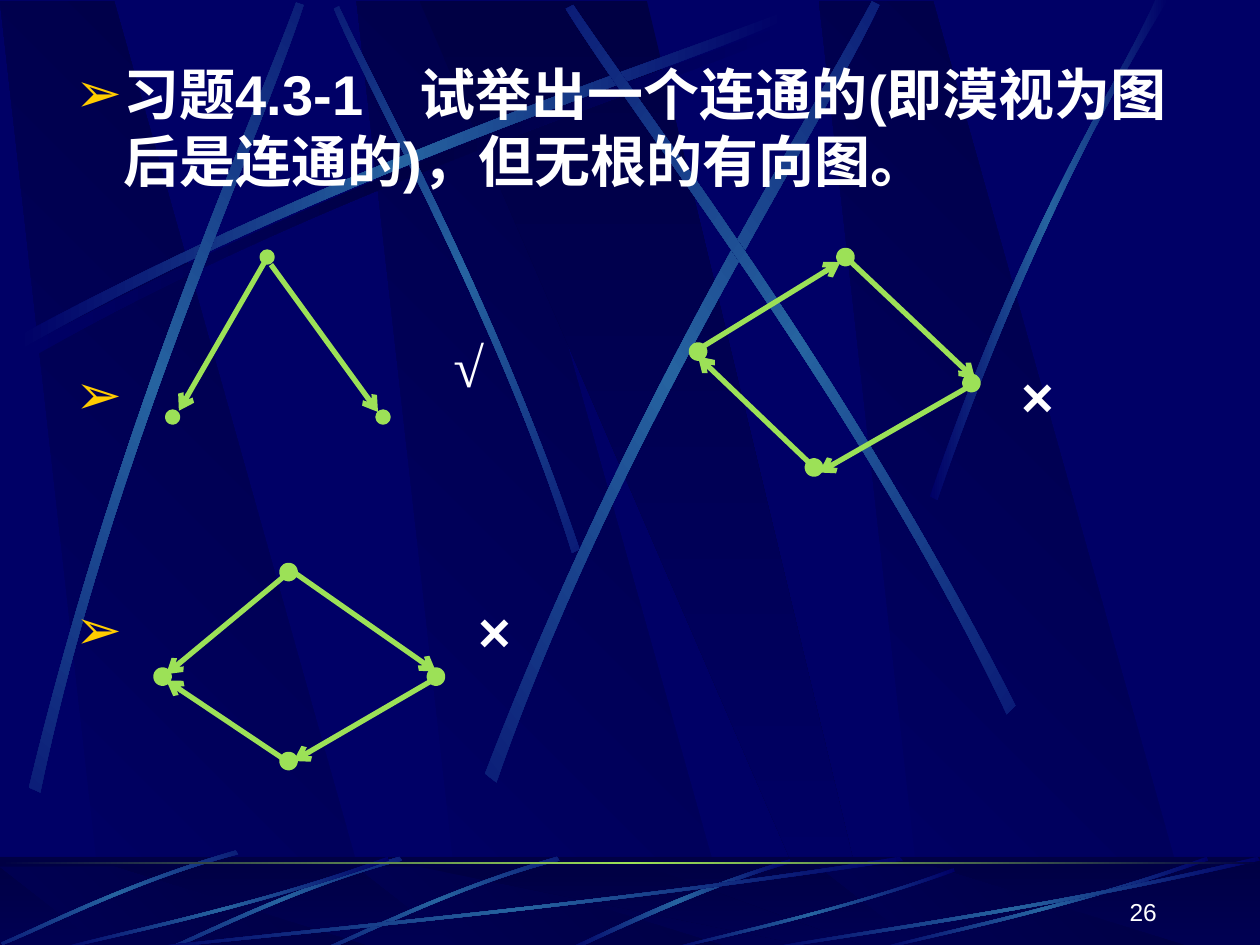
from math import cos, radians, sin

from lxml import etree
from pptx import Presentation
from pptx.dml.color import RGBColor
from pptx.enum.shapes import MSO_CONNECTOR, MSO_SHAPE
from pptx.enum.text import MSO_ANCHOR, MSO_AUTO_SIZE, PP_ALIGN
from pptx.oxml.ns import qn
from pptx.util import Inches, Pt

ELLIPSE, RECT = MSO_SHAPE.OVAL, MSO_SHAPE.RECTANGLE
STRAIGHT = MSO_CONNECTOR.STRAIGHT
NO_AUTOFIT = MSO_AUTO_SIZE.NONE
TOP, BOTTOM = MSO_ANCHOR.TOP, MSO_ANCHOR.BOTTOM
LEFT, RIGHT = PP_ALIGN.LEFT, PP_ALIGN.RIGHT

NAVY, DARK, STEEL = "000066", "000044", "2663A0"
GREEN, GOLD, WHITE = "9CE157", "FFCC00", "FFFFFF"
BEAM = (NAVY, STEEL, NAVY)
SHADE = (NAVY, DARK, NAVY)


def rgb(value):
    return RGBColor.from_string(value)


def child(parent, tag, **attributes):
    return etree.SubElement(parent, qn(tag), {k: str(v) for k, v in attributes.items()})


def place(points, left, top, width=1, height=1):
    """Scale and shift points."""
    return [(left + x * width, top + y * height) for x, y in points]


def turn(points, centre, degrees):
    c, s = cos(radians(degrees)), sin(radians(degrees))
    cx, cy = centre
    return [(cx + (x - cx) * c - (y - cy) * s, cy + (x - cx) * s + (y - cy) * c)
            for x, y in points]


class SlideBuilder:
    def __init__(self, slide):
        self.slide = slide
        self.shapes = slide.shapes

    def gradient(self, shape, colours, angle):
        properties = shape._element.spPr
        shape.fill.gradient()
        grad = properties.find(qn("a:gradFill"))
        for part in list(grad):
            grad.remove(part)
        stops = child(grad, "a:gsLst")
        for i, colour in enumerate(colours):
            stop = child(stops, "a:gs", pos=round(100000 * i / (len(colours) - 1)))
            child(stop, "a:srgbClr", val=colour)
        child(grad, "a:lin", ang=angle * 60000, scaled=0)
        shape.line.fill.background()
        shape.shadow.inherit = False

    def polygon(self, points, colours, angle=0):
        corners = [(Inches(x), Inches(y)) for x, y in points]
        builder = self.shapes.build_freeform(*corners[0])
        builder.add_line_segments(corners[1:], close=True)
        shape = builder.convert_to_shape()
        self.gradient(shape, colours, angle)
        return shape

    def beam(self, knots, colours=BEAM, centre=None, rotation=0):
        """A tapering band between two curves, its gradient turned with it."""
        if rotation:
            knots = turn(knots, centre, -rotation)
            xs, ys = zip(*knots)
            middle = ((min(xs) + max(xs)) / 2, (min(ys) + max(ys)) / 2)
            goal = turn([middle], centre, rotation)[0]
            knots = place(knots, goal[0] - middle[0], goal[1] - middle[1])
        shape = self.polygon(knots, colours)
        shape.rotation = rotation
        # Each long side becomes one cubic curve
        outline = next(shape._element.iter(qn("a:path")))
        sides = outline.findall(qn("a:lnTo"))
        for side in (sides[:3], sides[4:7]):
            curve = child(outline, "a:cubicBezTo")
            side[0].addprevious(curve)
            for segment in side:
                curve.append(segment[0])
                outline.remove(segment)

    def bar(self, top, height, colours, angle):
        shape = self.shapes.add_shape(RECT, 0, Inches(top), Inches(10), Inches(height))
        self.gradient(shape, colours, angle)
        return shape

    def veil(self, top, height, colour, alpha):
        shape = self.bar(top, height, (colour, colour), 0)
        shape.fill.solid()
        shape.fill.fore_color.rgb = rgb(colour)
        child(shape._element.spPr.find(qn("a:solidFill"))[0], "a:alpha", val=alpha * 1000)

    def node(self, left, top, outline):
        size = Inches(0.08)
        dot = self.shapes.add_shape(ELLIPSE, Inches(left), Inches(top), size, size)
        dot.fill.solid()
        dot.fill.fore_color.rgb = dot.line.color.rgb = rgb(GREEN)
        dot.line.width = Pt(outline)
        dot.shadow.inherit = False

    def edge(self, *ends):
        arrow = self.shapes.add_connector(STRAIGHT, *map(Inches, ends))
        arrow.line.color.rgb = rgb(GREEN)
        arrow.line.width = Pt(3)
        child(arrow.line._get_or_add_ln(), "a:tailEnd", type="arrow")
        child(arrow._element.spPr, "a:effectLst")

    def style(self, paragraph, size, font, bold):
        paragraph.font.size = Pt(size)
        paragraph.font.name = font
        paragraph.font.bold = bold
        paragraph.font.color.rgb = rgb(WHITE)

    def label(self, text, box, size, font, bold=False, align=LEFT, anchor=TOP):
        frame = self.shapes.add_textbox(*map(Inches, box)).text_frame
        frame.word_wrap = True
        frame.vertical_anchor = anchor
        paragraph = frame.paragraphs[0]
        paragraph.text = text
        paragraph.alignment = align
        self.style(paragraph, size, font, bold)

    def body(self, box, items):
        """Bulleted items given as (text, indent in inches, space before)."""
        holder = self.slide.placeholders[1]
        self.shapes._spTree.append(holder._element)
        holder.left, holder.top, holder.width, holder.height = map(Inches, box)
        frame = holder.text_frame
        frame.auto_size = NO_AUTOFIT
        frame.vertical_anchor = TOP
        for i, (text, indent, before) in enumerate(items):
            paragraph = frame.add_paragraph() if i else frame.paragraphs[0]
            paragraph.text = text
            properties = paragraph._p.get_or_add_pPr()
            properties.set("marL", str(Inches(indent)))
            properties.set("indent", str(-Inches(indent)))
            child(child(properties, "a:buClr"), "a:srgbClr", val=GOLD)
            child(properties, "a:buChar", char="➢")
            paragraph.space_before = Pt(before)
            self.style(paragraph, 32, "Arial", True)


# Background outlines: slabs and fans in unit size, beams in inches
SLAB = [(0.28, 1), (1, 1), (0.3, 0), (0, 0)]
WEDGE = [(0, 0), (0.9, 1), (1, 1), (0.5, 0)]
FAN = [(1, 0.04), (0.566, 0.573), (0.172, 0.853), (0.005, 1),
       (0, 0.987), (0.165, 0.813), (0.616, 0.507), (0.995, 0)]
SWEEP = [(0.14, 2.67), (2.78, 1.25), (5.18, 0.51), (6.2, 0.1),
         (6.23, 0.16), (5.22, 0.61), (2.48, 1.43), (0.17, 2.77)]
RAY = [(3.17, 6.8), (2.3, 7.05), (1.62, 7.4), (1.31, 7.53),
       (1.32, 7.55), (1.63, 7.43), (2.4, 7.03), (3.19, 6.83)]
SHORT_BEAM = [(4.6, 4.36), (3.91, 2.34), (3.02, 0.77), (2.69, 0.05),
              (2.65, 0.07), (2.95, 0.79), (3.98, 2.58), (4.54, 4.39)]
LONG_BEAMS = [
    ([(0.23, 6.25), (0.93, 3.34), (1.97, 1.05), (2.35, 0.02),
      (2.41, 0.04), (2.07, 1.09), (0.86, 3.68), (0.32, 6.29)], (1.33, 3.15), 311.7),
    ([(3.85, 6.14), (4.98, 3.2), (6.38, 1.02), (6.92, 0.01),
      (6.98, 0.04), (6.49, 1.08), (4.86, 3.55), (3.94, 6.21)], (5.43, 3.1), 321.6),
    ([(8.06, 5.6), (6.7, 2.93), (5.16, 0.95), (4.55, 0.04),
      (4.49, 0.07), (5.07, 1.01), (6.85, 3.25), (7.99, 5.67)], (6.27, 2.86), 34.7),
    ([(7.38, 3.94), (8.14, 1.73), (8.88, 0.66), (9.17, 0),
      (9.27, 0), (8.36, 1.45), (7.69, 3.22), (7.44, 3.97)], None, 0),
]
FLOOR_BEAM = [(6.27, 6.82), (5.37, 7.09), (4.77, 7.42), (4.48, 7.54),
              (4.53, 7.55), (4.9, 7.38), (5.71, 7), (6.28, 6.85)]
FLOOR_FANS = [(1, 6.8, 6.17, 0.75), (0.42, 6.8, 2.67, 0.75), (5.27, 6.89, 2.31, 0.66),
              (6.92, 6.8, 2.67, 0.75), (6, 6.8, 4, 0.75)]

# Directed graphs: node outline, node corners, edges
GRAPHS = [
    (3, [(2.08, 2), (1.33, 3.27), (3, 3.27)],
     [(2.15, 2.1, 3, 3.27), (2.1, 2.08, 1.42, 3.26)]),
    (5, [(6.67, 2), (5.5, 2.75), (6.42, 3.67), (7.67, 3)],
     [(6.67, 2, 7.74, 3.01), (7.67, 3.08, 6.5, 3.75),
      (6.43, 3.68, 5.54, 2.83), (5.58, 2.75, 6.67, 2.08)]),
    (5, [(2.25, 4.5), (3.42, 5.33), (1.25, 5.33), (2.25, 6)],
     [(2.26, 4.57, 1.32, 5.35), (2.33, 4.54, 3.46, 5.33),
      (3.43, 5.4, 2.33, 6.04), (2.32, 6.07, 1.32, 5.4)]),
]


def draw_slabs(page, top, height):
    for left in (2.83, 0, 6.5):
        page.polygon(place(SLAB, left, top, 3.02, height), (NAVY, DARK), 315)
    page.polygon(place(WEDGE, 3.33, top, 3.61, height), (DARK, NAVY), 90)


def main():
    deck = Presentation()
    deck.slide_width, deck.slide_height = Inches(10), Inches(7.5)
    slide = deck.slides.add_slide(deck.slide_layouts[1])
    title = slide.shapes.title._element
    title.getparent().remove(title)
    slide.background.fill.solid()
    slide.background.fill.fore_color.rgb = rgb(NAVY)
    page = SlideBuilder(slide)
    # Crossing beams
    draw_slabs(page, 0.01, 7.52)
    page.beam(place(SWEEP, 0.06, 0.08), SHADE)
    page.beam(SHORT_BEAM, BEAM, (3.62, 2.22), 45)
    page.beam(SWEEP)
    for knots, centre, rotation in LONG_BEAMS:
        page.beam(knots, BEAM, centre, rotation)
    # Floor
    page.bar(6.8, 0.75, (DARK, NAVY), 90)
    draw_slabs(page, 6.88, 0.66)
    page.veil(6.8, 0.75, DARK, 50)
    page.beam(FLOOR_BEAM)
    for dx, dy in ((1.25, 0), (0, 0), (-1.3, -0.05)):
        page.beam(place(RAY, dx, dy), BEAM, (2.25 + dx, 7.18 + dy), 315)
    for box in FLOOR_FANS:
        page.beam(place(FAN, *box))
    page.bar(6.84, 0.02, (DARK, GREEN, DARK), 0)
    # Exercise and verdicts
    page.body((0.5, 0.42, 9, 6.25), [
        ("习题4.3-1　试举出一个连通的(即漠视为图后是连通的)，但无根的有向图。", 0.38, 0),
        ("×", 7.51, 96),
        ("×", 3.2, 96),
    ])
    page.label("√", (3.5, 2.58, 0.58, 0.64), 32, "Times New Roman", bold=True)
    # Graphs
    for outline, nodes, edges in GRAPHS:
        for ends in edges:
            page.edge(*ends)
        for left, top in nodes:
            page.node(left, top, outline)
    # Page number
    page.label("26", (7.2, 6.9, 2.08, 0.5), 14, "Arial", align=RIGHT, anchor=BOTTOM)
    deck.save("out.pptx")


if __name__ == "__main__":
    main()
